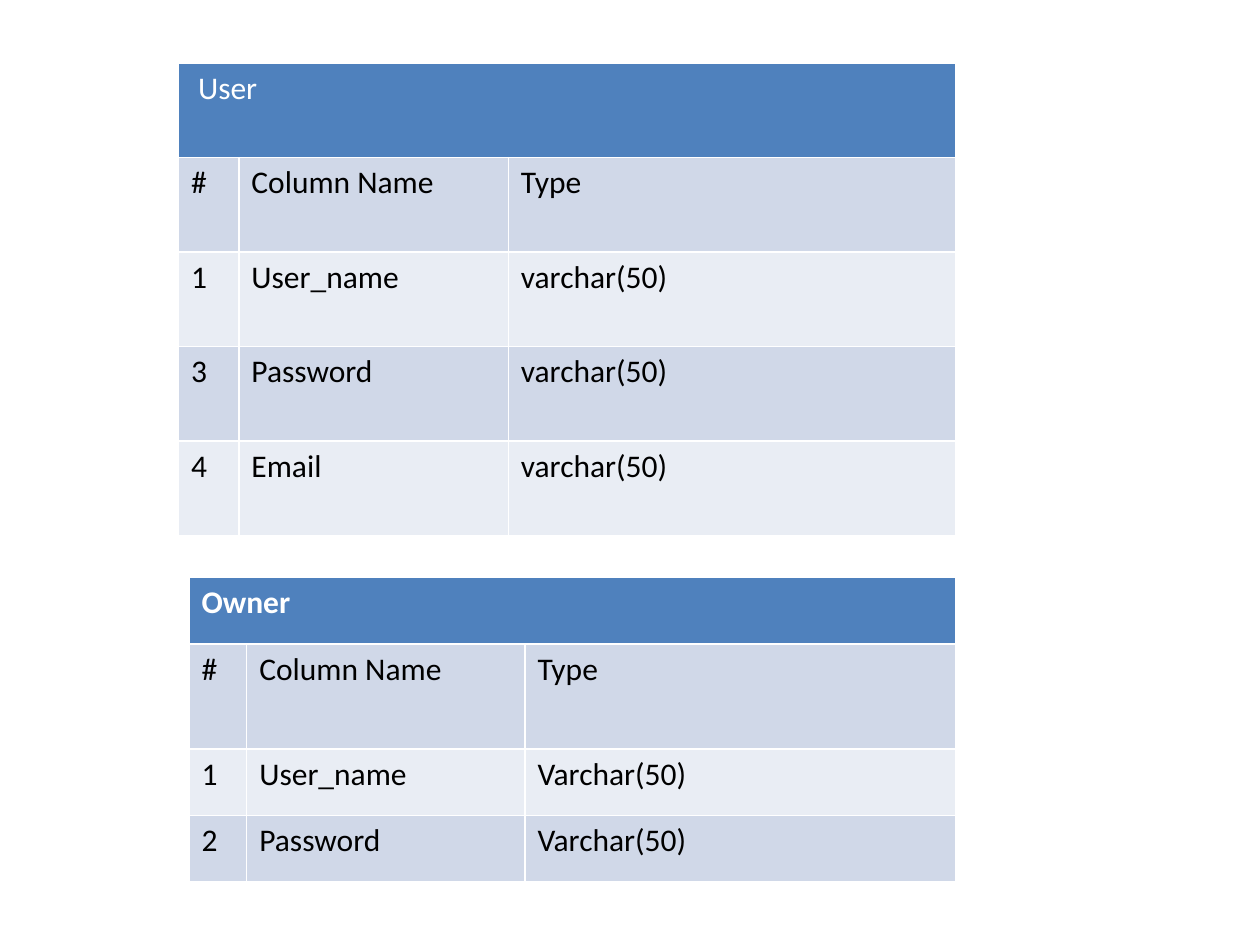
from pptx import Presentation
from pptx.dml.color import RGBColor
from pptx.util import Pt

WHITE = RGBColor(0xFF, 0xFF, 0xFF)
BLACK = RGBColor(0x00, 0x00, 0x00)
HEADER_BLUE = RGBColor(0x4F, 0x81, 0xBD)
BANDS = (RGBColor(0xE9, 0xED, 0xF4), RGBColor(0xD0, 0xD8, 0xE8))
BLANK_LAYOUT = 6
COLUMN_LABELS = ("#", "Column Name", "Type")


class SchemaSlide:
    """Holds the text style and the slide that the tables go on."""

    def __init__(self, slide, font_name="Calibri", font_size=18):
        self.slide = slide
        self.font_format = {"name": font_name, "size": Pt(font_size)}

    def cell(self, cell, text, fill, color, bold=False):
        cell.fill.solid()
        cell.fill.fore_color.rgb = fill
        cell.text = text
        font = cell.text_frame.paragraphs[0].runs[0].font
        for attribute, value in {**self.font_format, "bold": bold}.items():
            setattr(font, attribute, value)
        font.color.rgb = color

    def schema_table(self, title, fields, left, top, widths, heights,
                     bold_title=False, title_margin=7.2):
        # The default table style supplies the white cell borders
        table = self.slide.shapes.add_table(
            len(heights), len(widths), Pt(left), Pt(top),
            Pt(sum(widths)), Pt(sum(heights))).table
        for column, width in zip(table.columns, widths):
            column.width = Pt(width)
        for row, height in zip(table.rows, heights):
            row.height = Pt(height)

        # Title row across all columns
        title_cell = table.cell(0, 0)
        title_cell.merge(table.cell(0, len(widths) - 1))
        title_cell.margin_left = Pt(title_margin)
        self.cell(title_cell, title, HEADER_BLUE, WHITE, bold_title)

        # Column labels and fields in alternating bands
        for r, record in enumerate((COLUMN_LABELS, *fields), start=1):
            for c, text in enumerate(record):
                self.cell(table.cell(r, c), text, BANDS[r % 2], BLACK)


def main():
    presentation = Presentation()
    presentation.slide_width = Pt(720)
    presentation.slide_height = Pt(540)
    schema = SchemaSlide(presentation.slides.add_slide(
        presentation.slide_layouts[BLANK_LAYOUT]))

    # User table
    schema.schema_table(
        "User",
        [("1", "User_name", "varchar(50)"),
         ("3", "Password", "varchar(50)"),
         ("4", "Email", "varchar(50)")],
        left=102, top=36, widths=(34.5, 154, 255.5), heights=[54] * 5,
        title_margin=11.2)

    # Owner table
    schema.schema_table(
        "Owner",
        [("1", "User_name", "Varchar(50)"),
         ("2", "Password", "Varchar(50)")],
        left=108, top=330, widths=(33, 159, 246), heights=(38, 60, 38, 38),
        bold_title=True)

    presentation.save("out.pptx")


if __name__ == "__main__":
    main()
